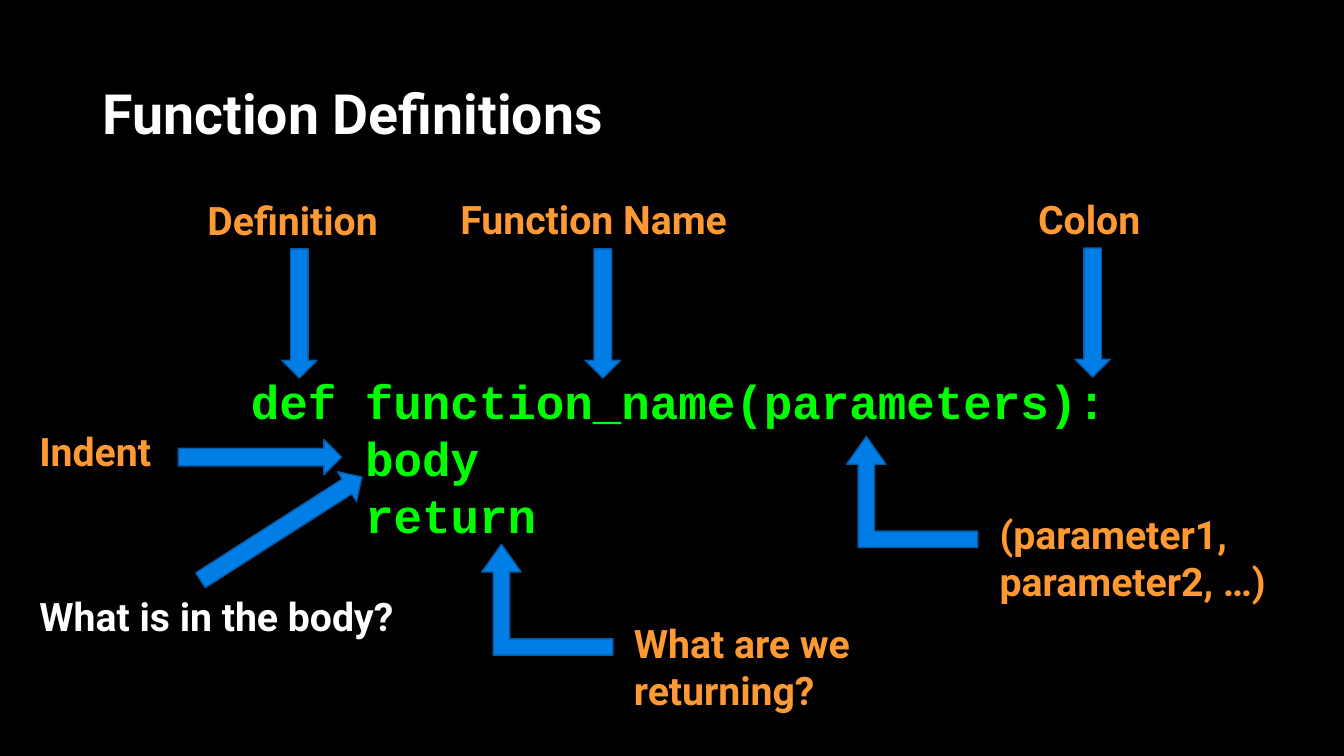
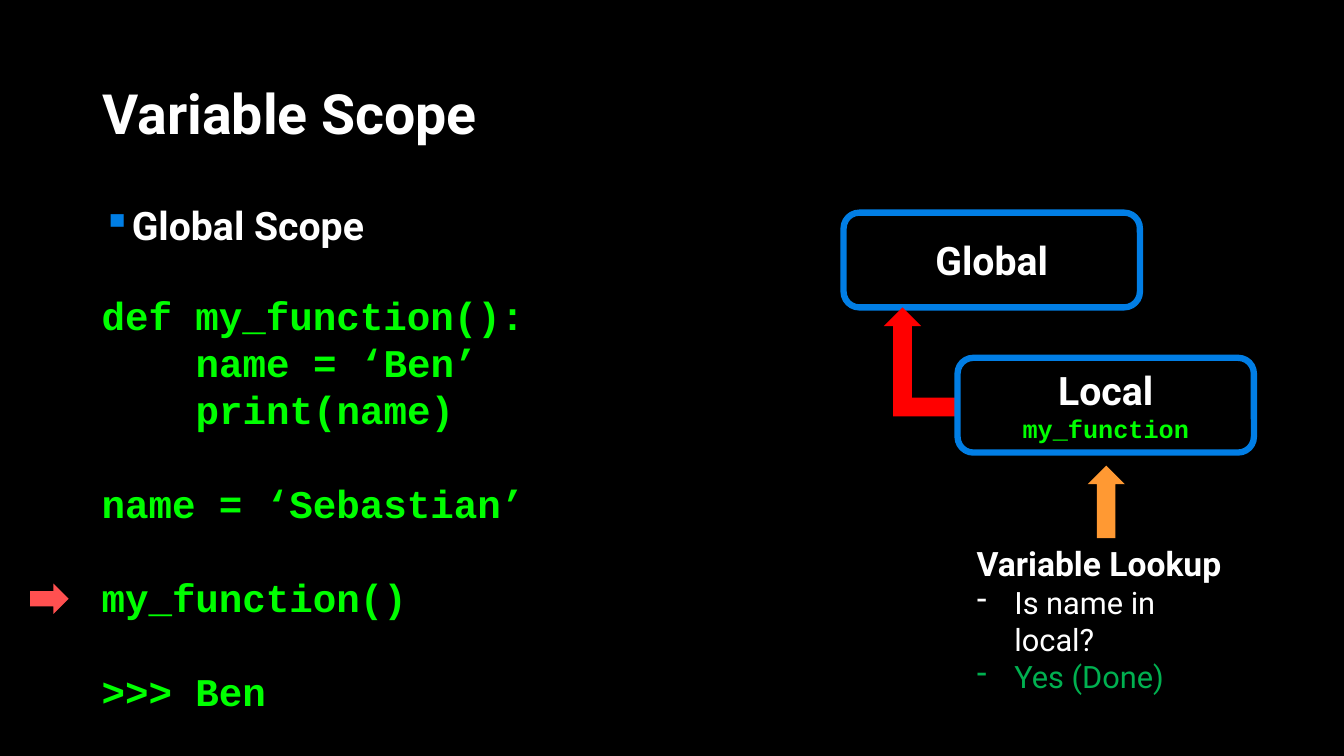
"""Build two slides on function definitions and variable scope."""
from pptx import Presentation
from pptx.dml.color import RGBColor
from pptx.enum import shapes, text
from pptx.oxml import ns, xmlchemy
from pptx.util import Pt

COLOURS = {
    "black": "000000", "white": "FFFFFF", "orange": "FF9933", "code": "00FF00",
    "blue": "017EE5", "edge": "015DA9", "bullet": "007EE5", "green": "00B050",
    "red": "FF0000", "coral": "FF5050",
}
BODY_FONT, CODE_FONT = "Roboto", "Courier New"
CODE_LEADING = 1.195
KIND = shapes.MSO_SHAPE

TITLES = ["Function Definitions", "Variable Scope"]

LABELS = [
    ("Indent", "orange", (21, 301.7, 101.5, 41)),
    ("Colon", "orange", (734.4, 136.1, 92.2, 41)),
    ("Definition", "orange", (141.1, 136.8, 148.3, 41)),
    ("Function Name", "orange", (321.8, 136.1, 217.4, 41)),
    ("What is in the body?", "white", (21, 419.8, 286.6, 41)),
    ("(parameter1,\nparameter2, …)", "orange", (707, 360.7, 220.3, 75)),
    ("What are we\nreturning?", "orange", (445.7, 438.5, 182.9, 75)),
]
POINTER_LENGTH, POINTER_WIDTH = 92.2, 25.2
POINTERS = [(213.8, 177.8), (430.6, 177.8), (780.5, 177.1)]
BENT_POINTERS = [(604.8, 311.8), (344.2, 388.8)]
BENT_SIZE, BENT_ADJUST = (93.6, 79.2), (0.147, 0.177, 0.25)
SIDE_POINTERS = [((127.4, 313.9, 116.6, 25.2), 0), ((132.5, 365, 136.8, 25.2), 327.4)]

# (indent in characters, blank lines before, wording)
SIGNATURE = [(0, 0, "def function_name(parameters):"), (4, 0, "body"), (4, 0, "return")]
SCOPE_CODE = [
    (0, 0, "def my_function():"), (4, 0, "name = ‘Ben’"), (4, 0, "print(name)"),
    (0, 1, "name = ‘Sebastian’"), (0, 1, "my_function()"), (0, 1, ">>> Ben"),
]
SCOPE_SIZE = (211.7, 67.7)
GLOBAL_AT, LOCAL_AT = (602.6, 151.9), (684, 255.6)
LOOKUP = [("Is name in local?", "white"), ("Yes (Done)", "green")]


def rgb(name):
    return RGBColor.from_string(COLOURS[name])


def style(para, size, colour="white", font=BODY_FONT, bold=True):
    for span in para.runs:
        span.font.size, span.font.name, span.font.bold = Pt(size), font, bold
        span.font.color.rgb = rgb(colour)


def indent(para, left, first=0):
    props = para._p.get_or_add_pPr()
    props.set("marL", str(Pt(left)))
    props.set("indent", str(Pt(first)))
    return props


def bullet(para, mark, left, colour=None):
    props = indent(para, left, -left)
    if colour:
        holder = xmlchemy.OxmlElement("a:buClr")
        tint = xmlchemy.OxmlElement("a:srgbClr")
        tint.set("val", COLOURS[colour])
        holder.append(tint)
        props.append(holder)
    sign = xmlchemy.OxmlElement("a:buChar")
    sign.set("char", mark)
    props.append(sign)


def add_text(page, wording, at, size=28, colour="white", font=BODY_FONT):
    frame = page.shapes.add_textbox(*map(Pt, at)).text_frame
    frame.word_wrap = True
    frame.text = wording
    for para in frame.paragraphs:
        style(para, size, colour, font)
    return frame


def add_code(page, lines, at, size):
    wording = "\n".join(line for _, _, line in lines)
    frame = add_text(page, wording, at, size, "code", CODE_FONT)
    for para, (chars, gap, _) in zip(frame.paragraphs, lines):
        indent(para, chars * 0.6 * size)
        para.space_before = Pt(round(gap * CODE_LEADING * size, 2))


def add_figure(page, kind, at, fill=None, edge=None, width=1):
    figure = page.shapes.add_shape(kind, *map(Pt, at))
    figure.shadow.inherit = False
    if fill:
        figure.fill.solid()
        figure.fill.fore_color.rgb = rgb(fill)
    else:
        figure.fill.background()
    if edge:
        figure.line.color.rgb = rgb(edge)
        figure.line.width = Pt(width)
    else:
        figure.line.fill.background()
    return figure


def add_bent_arrow(page, at, fill, edge=None):
    arrow = add_figure(page, KIND.BENT_UP_ARROW, at, fill, edge)
    arrow._element.spPr.find(ns.qn("a:xfrm")).set("flipH", "1")
    return arrow


def add_scope(page, at, name):
    box = add_figure(page, KIND.ROUNDED_RECTANGLE, at + SCOPE_SIZE, None, "blue", 4.5)
    frame = box.text_frame
    frame.vertical_anchor = text.MSO_ANCHOR.MIDDLE
    frame.text = name
    for para in frame.paragraphs:
        para.alignment = text.PP_ALIGN.CENTER
        style(para, 28)
    return frame


def add_page(deck, title):
    page = deck.slides.add_slide(deck.slide_layouts[6])
    frame = add_text(page, title, (66.2, 57.6, 828, 51.8), 39.6)
    frame.vertical_anchor = text.MSO_ANCHOR.MIDDLE
    frame.paragraphs[0].line_spacing = 0.9
    return page


def draw_definitions(page):
    add_code(page, SIGNATURE, (172.1, 262.1, 631.4, 131), 34)
    for wording, colour, at in LABELS:
        add_text(page, wording, at, colour=colour)
    for centre, top in POINTERS:
        at = (centre - POINTER_WIDTH / 2, top, POINTER_WIDTH, POINTER_LENGTH)
        add_figure(page, KIND.DOWN_ARROW, at, "blue", "edge")
    for corner in BENT_POINTERS:
        arrow = add_bent_arrow(page, corner + BENT_SIZE, "blue", "edge")
        for index, value in enumerate(BENT_ADJUST):
            arrow.adjustments[index] = value
    for at, angle in SIDE_POINTERS:
        add_figure(page, KIND.RIGHT_ARROW, at, "blue", "edge").rotation = angle


def draw_scope(page):
    heading = add_text(page, "Global Scope", (66.2, 144, 536.4, 41)).paragraphs[0]
    heading.line_spacing = 0.9
    bullet(heading, "▪", 18, "bullet")
    add_code(page, SCOPE_CODE, (65.5, 204.5, 336.2, 312.5), 28)
    add_figure(page, KIND.RIGHT_ARROW, (21.6, 416.9, 27.4, 21.6), "coral")

    add_scope(page, GLOBAL_AT, "Global")
    add_bent_arrow(page, (631.4, 219.6, 53.3, 77.8), "red")
    caption = add_scope(page, LOCAL_AT, "Local").add_paragraph()
    caption.text = "my_function"
    caption.alignment = text.PP_ALIGN.CENTER
    style(caption, 18, "code", CODE_FONT)

    add_figure(page, KIND.UP_ARROW, (776.9, 332.6, 26.6, 51.8), "orange")
    lookup = add_text(page, "Variable Lookup", (690.5, 384.5, 193, 90), 24)
    for wording, colour in LOOKUP:
        para = lookup.add_paragraph()
        para.text = wording
        style(para, 22, colour, bold=False)
        bullet(para, "-", 27)


def main():
    deck = Presentation()
    deck.slide_width, deck.slide_height = Pt(960), Pt(540)
    backdrop = deck.slide_master.background.fill
    backdrop.solid()
    backdrop.fore_color.rgb = rgb("black")
    for title, draw in zip(TITLES, (draw_definitions, draw_scope)):
        draw(add_page(deck, title))
    deck.save("out.pptx")


if __name__ == "__main__":
    main()
